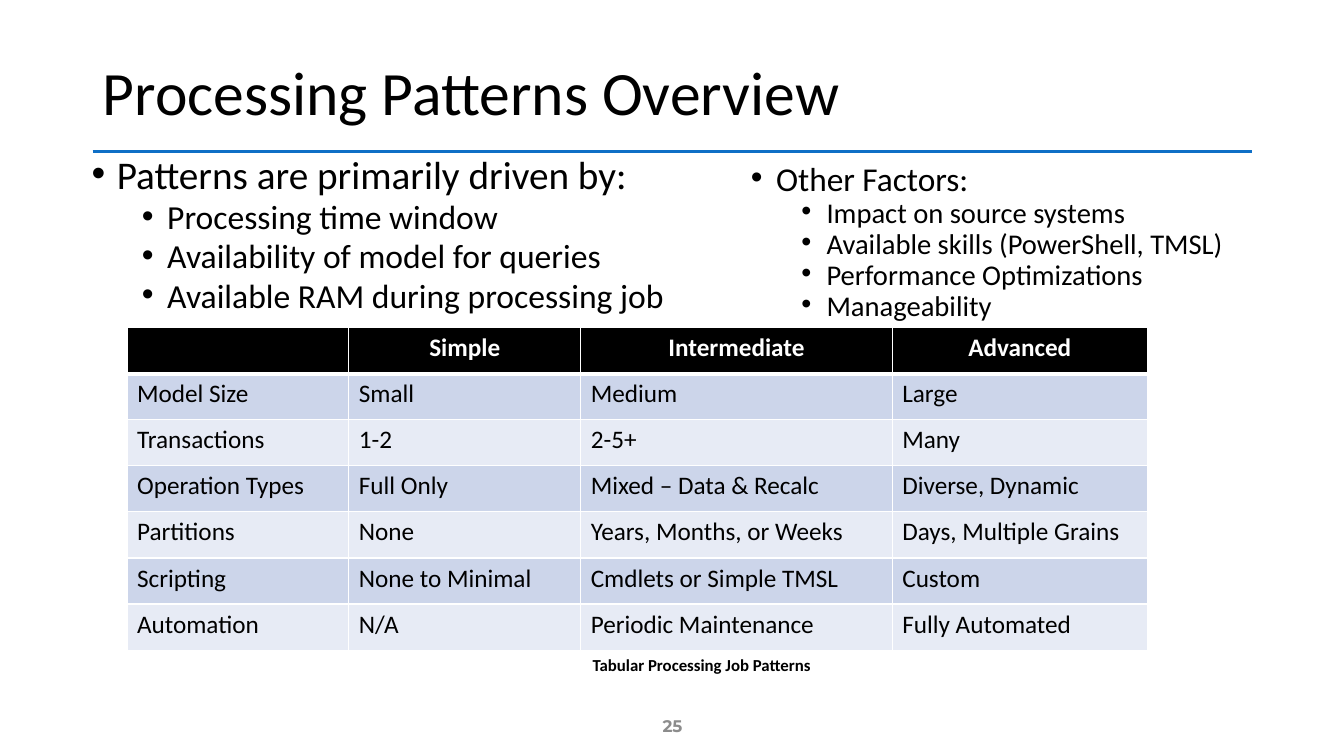
import dataclasses

import pptx
import pptx.dml.color
import pptx.enum.shapes
import pptx.enum.text
import pptx.oxml.ns
import pptx.util
from lxml import etree
from pptx.util import Inches

ALIGN = pptx.enum.text.PP_ALIGN
ANCHOR = pptx.enum.text.MSO_ANCHOR


@dataclasses.dataclass(frozen=True)
class Theme:
    font: str = "Calibri"
    number_font: str = "Montserrat"
    ink: str = "000000"
    paper: str = "FFFFFF"
    rule: str = "0F6FC6"
    muted: str = "8C8C8C"
    bands: tuple = ("CCD5EA", "E7EBF5")
    title: float = 44
    drivers: tuple = (28, 24)
    factors: tuple = (23.8, 20.4)
    cell: float = 18
    small: float = 12


THEME = Theme()

DRIVERS = [
    "Patterns are primarily driven by:",
    "Processing time window",
    "Availability of model for queries",
    "Available RAM during processing job",
]
FACTORS = [
    "Other Factors:",
    "Impact on source systems",
    "Available skills (PowerShell, TMSL)",
    "Performance Optimizations",
    "Manageability",
]
PATTERNS = [
    ["", "Simple", "Intermediate", "Advanced"],
    ["Model Size", "Small", "Medium", "Large"],
    ["Transactions", "1-2", "2-5+", "Many"],
    ["Operation Types", "Full Only", "Mixed – Data & Recalc", "Diverse, Dynamic"],
    ["Partitions", "None", "Years, Months, or Weeks", "Days, Multiple Grains"],
    ["Scripting", "None to Minimal", "Cmdlets or Simple TMSL", "Custom"],
    ["Automation", "N/A", "Periodic Maintenance", "Fully Automated"],
]
PATTERN_WIDTHS = [2.2, 2.3, 3.09, 2.53]


def rgb(color):
    return pptx.dml.color.RGBColor.from_string(color)


def apply(target, values):
    for name, value in values.items():
        setattr(target, name, value)


def add_child(parent, tag, **attributes):
    return etree.SubElement(parent, pptx.oxml.ns.qn(tag), attributes)


def write(paragraph, text, size, color=THEME.ink, font=THEME.font, bold=False, **layout):
    apply(paragraph, layout)
    run = paragraph.add_run()
    run.text = text
    apply(run.font, {"name": font, "size": pptx.util.Pt(size), "bold": bold})
    run.font.color.rgb = rgb(color)


def add_title(slide, text, box):
    title = slide.shapes.title
    apply(title, dict(zip(("left", "top", "width", "height"), map(Inches, box))))
    apply(title.text_frame, {
        "vertical_anchor": ANCHOR.MIDDLE,
        "word_wrap": True,
        "auto_size": pptx.enum.text.MSO_AUTO_SIZE.NONE,
    })
    write(title.text_frame.paragraphs[0], text, THEME.title,
          alignment=ALIGN.LEFT, line_spacing=0.9)


def add_rule(slide, left, right, y):
    rule = slide.shapes.add_connector(
        pptx.enum.shapes.MSO_CONNECTOR.STRAIGHT,
        Inches(left), Inches(y), Inches(right), Inches(y))
    rule.line.color.rgb = rgb(THEME.rule)
    rule.line.width = pptx.util.Pt(2)
    add_child(rule.element.spPr, "a:effectLst")


def add_text_frame(slide, box, anchor=ANCHOR.TOP):
    frame = slide.shapes.add_textbox(*map(Inches, box)).text_frame
    apply(frame, {"word_wrap": True, "vertical_anchor": anchor})
    return frame


def add_bullets(slide, lines, box, sizes, line_spacing):
    frame = add_text_frame(slide, box)
    for index, line in enumerate(lines):
        level = min(index, 1)
        paragraph = frame.add_paragraph() if index else frame.paragraphs[0]
        write(paragraph, line, sizes[level], level=level, line_spacing=line_spacing,
              space_before=pptx.util.Pt((10, 5)[level]))
        properties = paragraph._p.get_or_add_pPr()
        properties.set("marL", str(Inches(0.25 + 0.5 * level)))
        properties.set("indent", str(Inches(-0.25)))
        add_child(properties, "a:buFont", typeface="Arial")
        add_child(properties, "a:buChar", char="•")


def add_label(slide, text, box, **style):
    frame = add_text_frame(slide, box, ANCHOR.MIDDLE)
    write(frame.paragraphs[0], text, THEME.small, bold=True,
          alignment=ALIGN.CENTER, **style)


def set_borders(cell, **widths):
    properties = cell._tc.get_or_add_tcPr()
    for side in "LRTB":
        width = pptx.util.Pt(widths.get(side, 1))
        border = add_child(properties, f"a:ln{side}", w=str(width))
        add_child(add_child(border, "a:solidFill"), "a:srgbClr", val=THEME.paper)


def add_pattern_table(slide, rows, widths, left, top, height):
    table = slide.shapes.add_table(
        len(rows), len(widths), Inches(left), Inches(top),
        Inches(sum(widths)), Inches(height)).table
    for column, width in zip(table.columns, widths):
        column.width = Inches(width)
    header = {"color": THEME.paper, "bold": True, "alignment": ALIGN.CENTER}
    header_borders = {0: {"B": 3}, 1: {"T": 3}}
    for row, texts in enumerate(rows):
        fill = THEME.bands[(row - 1) % 2] if row else THEME.ink
        for column, text in enumerate(texts):
            cell = table.cell(row, column)
            set_borders(cell, **header_borders.get(row, {}))
            cell.fill.solid()
            cell.fill.fore_color.rgb = rgb(fill)
            write(cell.text_frame.paragraphs[0], text, THEME.cell,
                  **({} if row else header))


def main():
    deck = pptx.Presentation()
    apply(deck, {"slide_width": Inches(13.33), "slide_height": Inches(7.5)})
    slide = deck.slides.add_slide(deck.slide_layouts.get_by_name("Title Only"))
    add_rule(slide, 0.92, 12.42, 1.5)
    add_title(slide, "Processing Patterns Overview", (0.92, 0.4, 11.5, 1.1))
    add_bullets(slide, DRIVERS, (0.81, 1.53, 5.95, 1.74), THEME.drivers, 0.8)
    add_pattern_table(slide, PATTERNS, PATTERN_WIDTHS, 1.26, 3.25, 3.2)
    add_bullets(slide, FACTORS, (7.35, 1.63, 5.84, 1.64), THEME.factors, 0.7)
    add_label(slide, "Tabular Processing Job Patterns", (5.47, 6.45, 2.98, 0.3))
    add_label(slide, "25", (5.17, 7, 3, 0.4), color=THEME.muted, font=THEME.number_font)
    deck.save("out.pptx")


if __name__ == "__main__":
    main()
